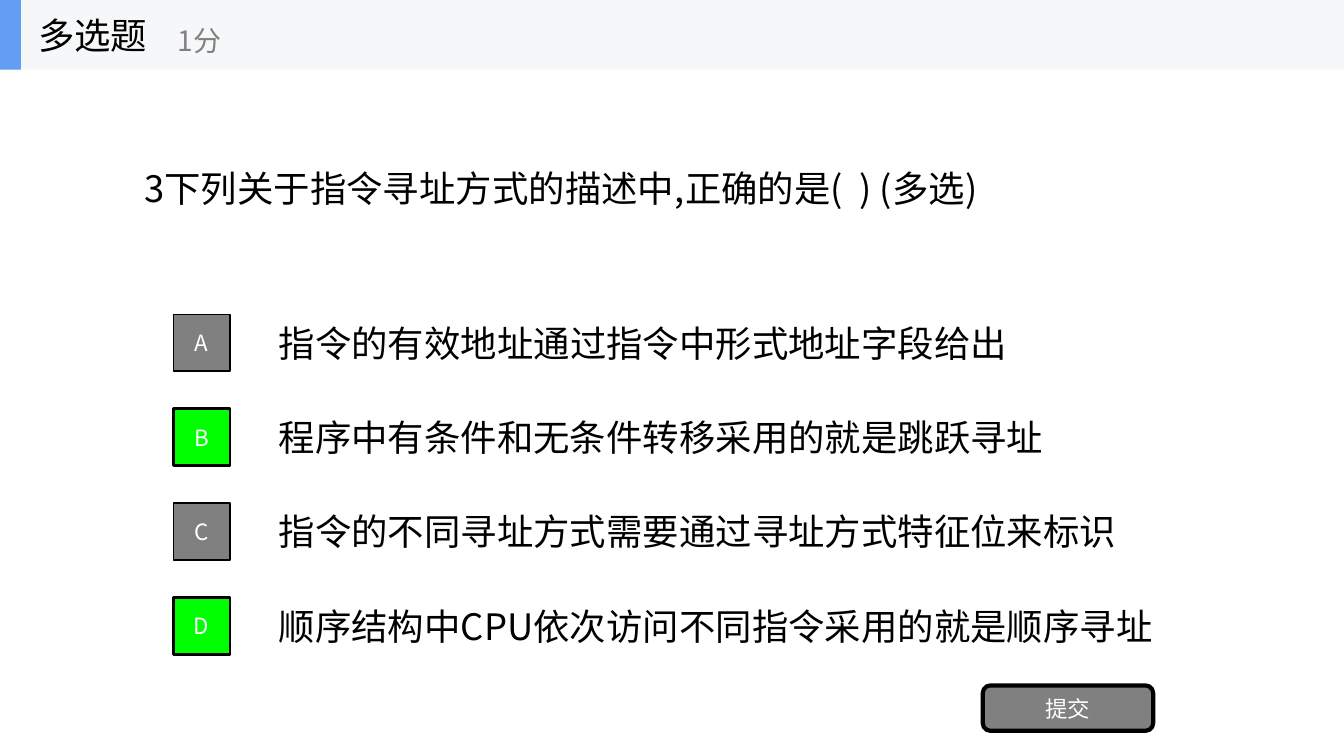
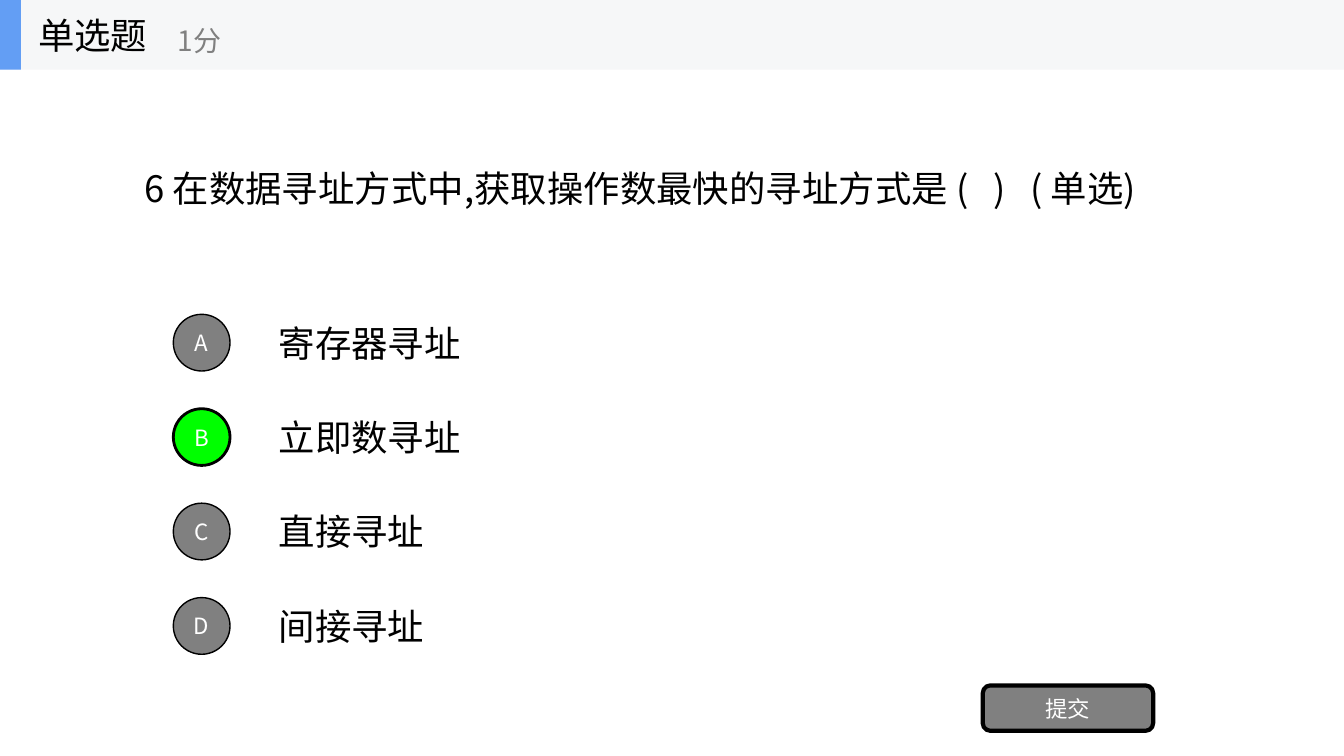
from lxml import etree
from pptx import Presentation
from pptx.dml.color import RGBColor
from pptx.enum import shapes, text
from pptx.oxml.ns import qn
from pptx.util import Pt

FONT = "Noto Sans CJK SC"
COLORS = {
    "ink": "000000",
    "white": "FFFFFF",
    "grey": "808080",
    "correct": "00FF00",
    "band": "F6F7F8",
    "accent": "639EF4",
}
SLIDE_W, SLIDE_H = 960, 540
BAND_H = 49.8
TEXT_SIZE = 26
OPTION_TOP, OPTION_PITCH = 224.5, 67.45
MARKER_LEFT, MARKER_SIZE = 123.8, 40.5
ANSWER_LEFT, ANSWER_H = 192, 38.2

QUESTIONS = [
    {
        "type": "多选题",
        "question": "3下列关于指令寻址方式的描述中,正确的是(  ) (多选)",
        "question_width": 621.4,
        "marker": shapes.MSO_SHAPE.RECTANGLE,
        "correct": "BD",
        "answers": [
            "指令的有效地址通过指令中形式地址字段给出",
            "程序中有条件和无条件转移采用的就是跳跃寻址",
            "指令的不同寻址方式需要通过寻址方式特征位来标识",
            "顺序结构中CPU依次访问不同指令采用的就是顺序寻址",
        ],
    },
    {
        "type": "单选题",
        "question": "6 在数据寻址方式中,获取操作数最快的寻址方式是 (   )   ( 单选)",
        "question_width": 738,
        "marker": shapes.MSO_SHAPE.OVAL,
        "correct": "B",
        "answers": ["寄存器寻址", "立即数寻址", "直接寻址", "间接寻址"],
    },
]


def rgb(name):
    return RGBColor.from_string(COLORS[name])


def write(shape, words, size, color, align=text.PP_ALIGN.LEFT):
    frame = shape.text_frame
    frame.text = words
    frame.word_wrap = True
    frame.vertical_anchor = text.MSO_ANCHOR.MIDDLE
    paragraph = frame.paragraphs[0]
    paragraph.alignment = align
    font = paragraph.font
    font.size = Pt(size)
    font.name = FONT
    font.color.rgb = rgb(color)
    defaults = paragraph._p.pPr.find(qn("a:defRPr"))
    etree.SubElement(defaults, qn("a:ea"), typeface=FONT)


def add_label(slide, box, words, size=TEXT_SIZE, color="ink", grow=True):
    label = slide.shapes.add_textbox(*map(Pt, box))
    write(label, words, size, color)
    if grow:
        label.text_frame.auto_size = text.MSO_AUTO_SIZE.SHAPE_TO_FIT_TEXT


def add_block(slide, kind, box, fill, line_width=0, words=""):
    block = slide.shapes.add_shape(kind, *map(Pt, box))
    block.shadow.inherit = False
    block.fill.solid()
    block.fill.fore_color.rgb = rgb(fill)
    if line_width:
        block.line.color.rgb = rgb("ink")
        block.line.width = Pt(line_width)
    else:
        block.line.fill.background()
    if words:
        write(block, words, 16, "white", text.PP_ALIGN.CENTER)
    return block


def add_header(slide, question_type):
    rectangle = shapes.MSO_SHAPE.RECTANGLE
    add_block(slide, rectangle, (0, 0, SLIDE_W, BAND_H), "band")
    accent = add_block(slide, rectangle, (0, 0, 15, BAND_H), "accent")
    title = slide.shapes.title
    title.left, title.top, title.width, title.height = map(Pt, (20, 0, 150, BAND_H))
    write(title, question_type, TEXT_SIZE, "ink")
    title.text_frame.auto_size = text.MSO_AUTO_SIZE.NONE
    accent.element.addnext(title.element)  # keeps the title above the band
    add_label(slide, (120, 8.8, 180, 40), "1分", 20, "grey", grow=False)


def answer_width(answer):
    """Estimate the box width, a Latin letter taking two thirds of an em."""
    ems = sum(2 / 3 if char.isascii() else 1 for char in answer)
    return round(ems) * TEXT_SIZE + 22


def add_options(slide, item):
    for row, (letter, answer) in enumerate(zip("ABCD", item["answers"])):
        top = OPTION_TOP + row * OPTION_PITCH
        add_label(slide, (ANSWER_LEFT, top + 1, answer_width(answer), ANSWER_H), answer)
        fill, line_width = ("correct", 2) if letter in item["correct"] else ("grey", 1)
        add_block(slide, item["marker"], (MARKER_LEFT, top, MARKER_SIZE, MARKER_SIZE),
                  fill, line_width, letter)


def main():
    deck = Presentation()
    deck.slide_width, deck.slide_height = Pt(SLIDE_W), Pt(SLIDE_H)
    title_only = deck.slide_layouts[5]
    for item in QUESTIONS:
        slide = deck.slides.add_slide(title_only)
        add_header(slide, item["type"])
        add_label(slide, (96, 115.2, item["question_width"], 38.2), item["question"])
        add_options(slide, item)
        add_block(slide, shapes.MSO_SHAPE.ROUNDED_RECTANGLE, (702, 489.6, 121.7, 32.4),
                  "grey", 3, "提交")
    deck.save("out.pptx")


if __name__ == "__main__":
    main()
